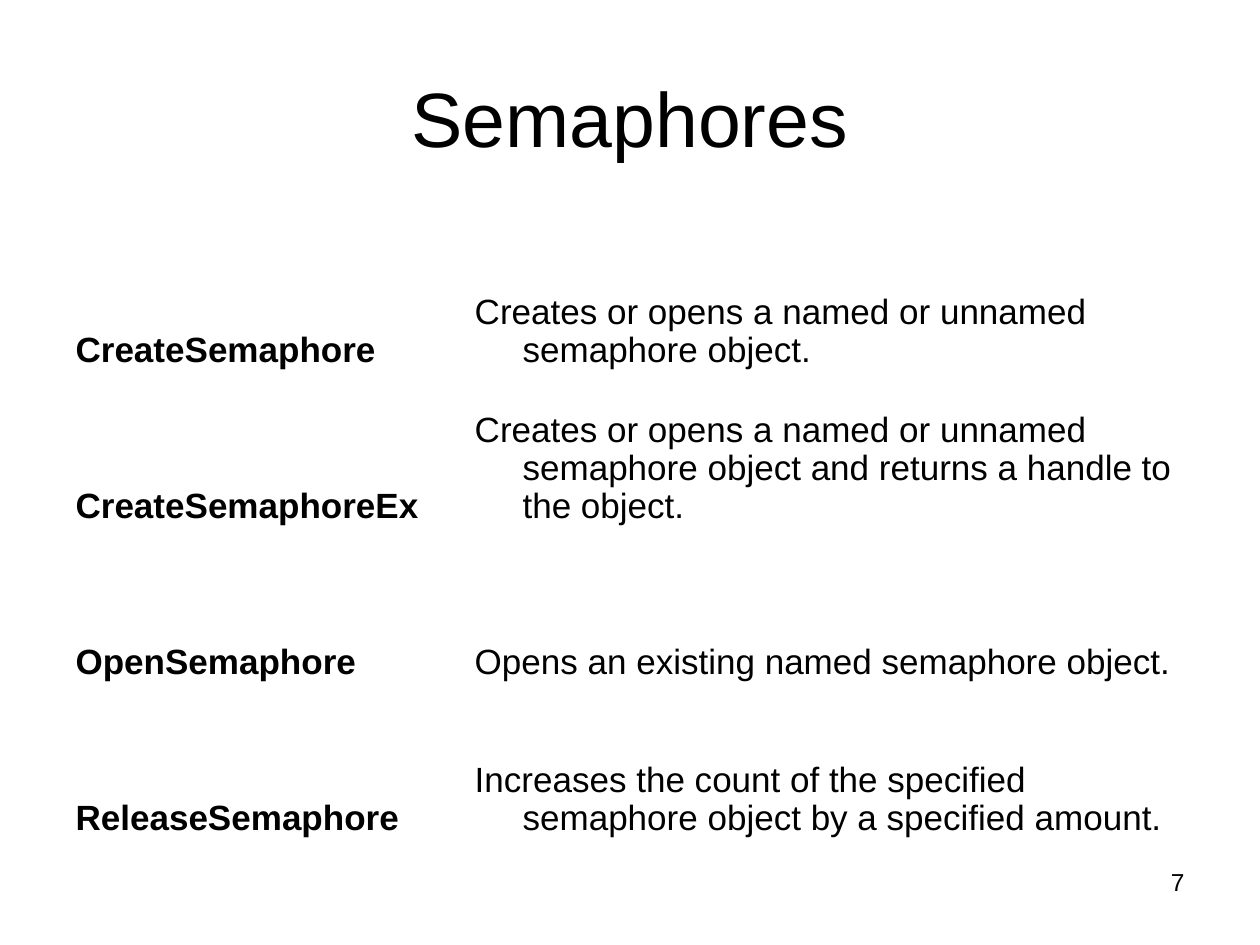
import dataclasses

import pptx
import pptx.dml.color
import pptx.enum.text
import pptx.util

ALIGN = pptx.enum.text.PP_ALIGN
ANCHOR = pptx.enum.text.MSO_ANCHOR


@dataclasses.dataclass(frozen=True)
class Theme:
    font: str = "Arial"
    text: str = "000000"
    background: str = "FFFFFF"
    title_size: int = 44
    body_size: int = 20
    number_size: int = 14
    line_spacing: float = 0.97
    hanging: float = 0.38


THEME = Theme()
WIDTH, HEIGHT = pptx.util.Inches(10), pptx.util.Inches(7.5)

FUNCTIONS = [
    ("CreateSemaphore", "Creates or opens a named or unnamed semaphore object."),
    ("CreateSemaphoreEx", "Creates or opens a named or unnamed semaphore object "
                          "and returns a handle to the object."),
    ("OpenSemaphore", "Opens an existing named semaphore object."),
    ("ReleaseSemaphore", "Increases the count of the specified semaphore object "
                         "by a specified amount."),
]


def area(left, top, width, height):
    """Turn shares of the slide's size into lengths."""
    return (int(left * WIDTH), int(top * HEIGHT),
            int(width * WIDTH), int(height * HEIGHT))


def format_text(paragraph, size, bold=False):
    for run in paragraph.runs:
        run.font.name = THEME.font
        run.font.size = pptx.util.Pt(size)
        run.font.bold = bold
        run.font.color.rgb = pptx.dml.color.RGBColor.from_string(THEME.text)


def add_text(slide, text, box, size, alignment, anchor):
    text_frame = slide.shapes.add_textbox(*box).text_frame
    text_frame.word_wrap = True
    text_frame.vertical_anchor = anchor
    text_frame.text = text
    paragraph = text_frame.paragraphs[0]
    paragraph.alignment = alignment
    format_text(paragraph, size)


def fill_cell(cell, text, bold):
    cell.fill.background()
    cell.vertical_anchor = ANCHOR.BOTTOM
    cell.text_frame.text = text
    paragraph = cell.text_frame.paragraphs[0]
    paragraph.line_spacing = THEME.line_spacing
    hanging = pptx.util.Inches(THEME.hanging)
    properties = paragraph._p.get_or_add_pPr()
    properties.set("marL", str(hanging))
    properties.set("indent", str(-hanging))
    format_text(paragraph, THEME.body_size, bold)


def add_function_table(slide, functions, box, name_share):
    """Add a table of bold names and their descriptions."""
    table = slide.shapes.add_table(len(functions), 2, *box).table
    table.first_row = table.horz_banding = False
    table.columns[0].width = int(box[2] * name_share)
    table.columns[1].width = box[2] - table.columns[0].width
    for row, texts in enumerate(functions):
        for column, text in enumerate(texts):
            fill_cell(table.cell(row, column), text, bold=column == 0)


def main():
    presentation = pptx.Presentation()
    presentation.slide_width, presentation.slide_height = WIDTH, HEIGHT
    slide = presentation.slides.add_slide(presentation.slide_layouts[6])
    slide.background.fill.solid()
    slide.background.fill.fore_color.rgb = pptx.dml.color.RGBColor.from_string(
        THEME.background)

    add_text(slide, "Semaphores", area(0.05, 0.04, 0.9, 0.167),
             THEME.title_size, ALIGN.CENTER, ANCHOR.MIDDLE)
    add_function_table(slide, FUNCTIONS, area(0.05, 0.2333, 0.9, 0.66),
                       name_share=0.352)
    add_text(slide, "7", area(0.717, 0.911, 0.233, 0.07),
             THEME.number_size, ALIGN.RIGHT, ANCHOR.TOP)
    presentation.save("out.pptx")


if __name__ == "__main__":
    main()
